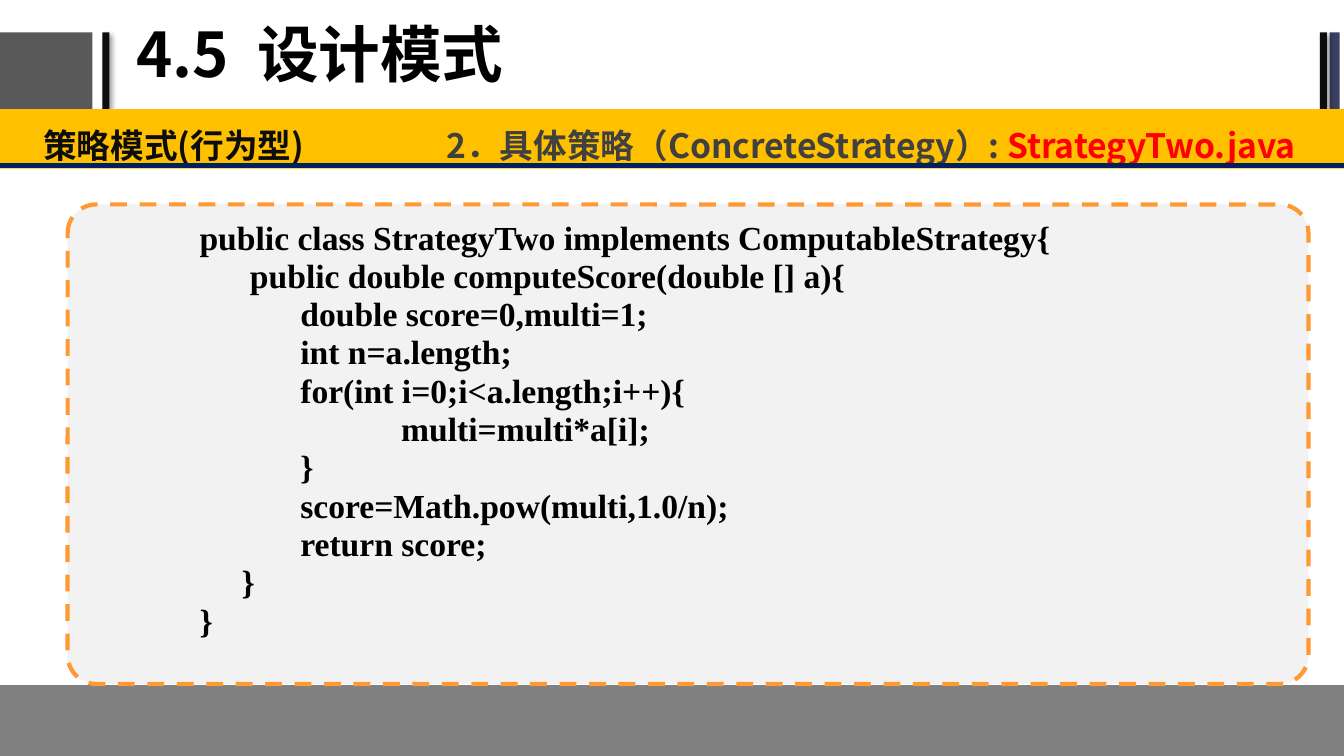
from lxml import etree
from pptx import Presentation
from pptx.dml.color import RGBColor
from pptx.enum.dml import MSO_LINE_DASH_STYLE as Dash
from pptx.enum.shapes import MSO_SHAPE as Preset
from pptx.enum.text import MSO_ANCHOR as Anchor, PP_ALIGN as Align
from pptx.oxml import parse_xml
from pptx.oxml.ns import qn
from pptx.util import Pt

BLACK = RGBColor(0x00, 0x00, 0x00)
INK = RGBColor(0x0D, 0x0D, 0x0D)
DARK_GRAY = RGBColor(0x40, 0x40, 0x40)
BLOCK_GRAY = RGBColor(0x59, 0x59, 0x59)
FOOTER_GRAY = RGBColor(0x80, 0x80, 0x80)
PANEL_GRAY = RGBColor(0xF2, 0xF2, 0xF2)
SLATE = RGBColor(0x3B, 0x3F, 0x60)
NAVY = RGBColor(0x00, 0x20, 0x60)
GOLD = RGBColor(0xFF, 0xC0, 0x00)
ORANGE = RGBColor(0xFF, 0x99, 0x33)
RED = RGBColor(0xFF, 0x00, 0x00)

HEADING_FONT = "Noto Sans CJK SC"
CODE_FONT = "Times New Roman"
WIDTH, HEIGHT = 960, 540
BAR_TOP, BAR_HEIGHT = 23.2, 55
SUBTITLE_TABS = [288]
CODE_TABS = [72, 144]

TITLE = "4.5  设计模式"
SUBTITLE = [
    ("策略模式(行为型)\t", INK),
    ("2．具体策略（ConcreteStrategy）: ", DARK_GRAY),
    ("StrategyTwo.java", RED),
]
CODE = [
    (0, "public class StrategyTwo implements ComputableStrategy{"),
    (1, "public double computeScore(double [] a){"),
    (0, "\tdouble score=0,multi=1;"),
    (0, "\tint n=a.length;"),
    (0, "\tfor(int i=0;i<a.length;i++){"),
    (0, "\t\tmulti=multi*a[i];"),
    (0, "\t}"),
    (0, "\tscore=Math.pow(multi,1.0/n);"),
    (0, "\treturn score;"),
    (0, "     }"),
    (0, "}"),
]
HEADER_BARS = [
    (-1.5, 67.5, BLOCK_GRAY, False),
    (73.2, 5, INK, True),
    (949.8, 7.2, SLATE, False),
    (942.8, 5, INK, True),
]
BANDS = [
    (-3.5, 78, 965, 42.5, GOLD),
    (0, 116.5, WIDTH, 3.5, NAVY),
    (0, 489.5, WIDTH, 56, FOOTER_GRAY),
]
SHADOW = (
    '<a:effectLst xmlns:a="http://schemas.openxmlformats.org/drawingml/2006/main">'
    '<a:outerShdw blurRad="50800" dist="38100" dir="2700000" algn="tl" rotWithShape="0">'
    '<a:srgbClr val="000000"><a:alpha val="40000"/></a:srgbClr>'
    "</a:outerShdw></a:effectLst>"
)


def add_block(slide, left, top, width, height, fill, preset=Preset.RECTANGLE):
    shape = slide.shapes.add_shape(preset, Pt(left), Pt(top), Pt(width), Pt(height))
    shape.shadow.inherit = False
    shape.fill.solid()
    shape.fill.fore_color.rgb = fill
    shape.line.fill.background()
    return shape


def add_shadow(shape):
    properties = shape.element.spPr
    properties.replace(properties.find(qn("a:effectLst")), parse_xml(SHADOW))


def add_text_frame(slide, left, top, width, height, anchor=Anchor.TOP):
    box = slide.shapes.add_textbox(Pt(left), Pt(top), Pt(width), Pt(height))
    frame = box.text_frame
    frame.word_wrap = True
    frame.vertical_anchor = anchor
    return frame


def add_tab_stops(paragraph, positions):
    tab_list = etree.SubElement(paragraph._p.get_or_add_pPr(), qn("a:tabLst"))
    for position in positions:
        etree.SubElement(tab_list, qn("a:tab"), pos=str(Pt(position)), algn="l")


def add_run(paragraph, text, font_name, size, color):
    run = paragraph.add_run()
    run.text = text
    run.font.name = font_name
    run.font.size = Pt(size)
    run.font.bold = True
    run.font.color.rgb = color
    east_asian = etree.SubElement(run.font._element, qn("a:ea"))
    east_asian.set("typeface", font_name)


def add_code(slide):
    frame = add_text_frame(slide, 135.5, 159, 712, 319)
    for index, (level, line) in enumerate(CODE):
        paragraph = frame.add_paragraph() if index else frame.paragraphs[0]
        paragraph.alignment = Align.JUSTIFY
        paragraph.line_spacing = 0.7
        paragraph.space_before = Pt(7.2 if index else 0)
        if level:
            paragraph.level = level
            paragraph._p.get_or_add_pPr().set("marL", str(Pt(36 * level)))
        if "\t" in line:
            add_tab_stops(paragraph, CODE_TABS)
        add_run(paragraph, line, CODE_FONT, 24, BLACK)


def main():
    presentation = Presentation()
    presentation.slide_width, presentation.slide_height = Pt(WIDTH), Pt(HEIGHT)
    slide = presentation.slides.add_slide(presentation.slide_layouts[6])

    for left, width, fill, has_shadow in HEADER_BARS:
        bar = add_block(slide, left, BAR_TOP, width, BAR_HEIGHT, fill)
        if has_shadow:
            add_shadow(bar)

    title = add_text_frame(slide, 90.3, 1.5, 610, 79, Anchor.MIDDLE).paragraphs[0]
    title.line_spacing = 0.9
    add_run(title, TITLE, HEADING_FONT, 44, BLACK)

    gold_band, *lower_bands = BANDS
    add_block(slide, *gold_band)
    frame = add_text_frame(slide, 21.5, 78.5, 940.5, 42)
    frame.margin_left = frame.margin_right = Pt(9.5)
    frame.margin_top = frame.margin_bottom = Pt(5)
    subtitle = frame.paragraphs[0]
    subtitle.line_spacing = 1.2
    add_tab_stops(subtitle, SUBTITLE_TABS)
    for text, color in SUBTITLE:
        add_run(subtitle, text, HEADING_FONT, 24, color)
    for band in lower_bands:
        add_block(slide, *band)

    panel = add_block(slide, 48.3, 146, 886.3, 342.5, PANEL_GRAY, Preset.ROUNDED_RECTANGLE)
    panel.adjustments[0] = 0.06
    panel.line.color.rgb = ORANGE
    panel.line.width = Pt(3)
    panel.line.dash_style = Dash.DASH
    add_code(slide)

    presentation.save("out.pptx")


if __name__ == "__main__":
    main()
